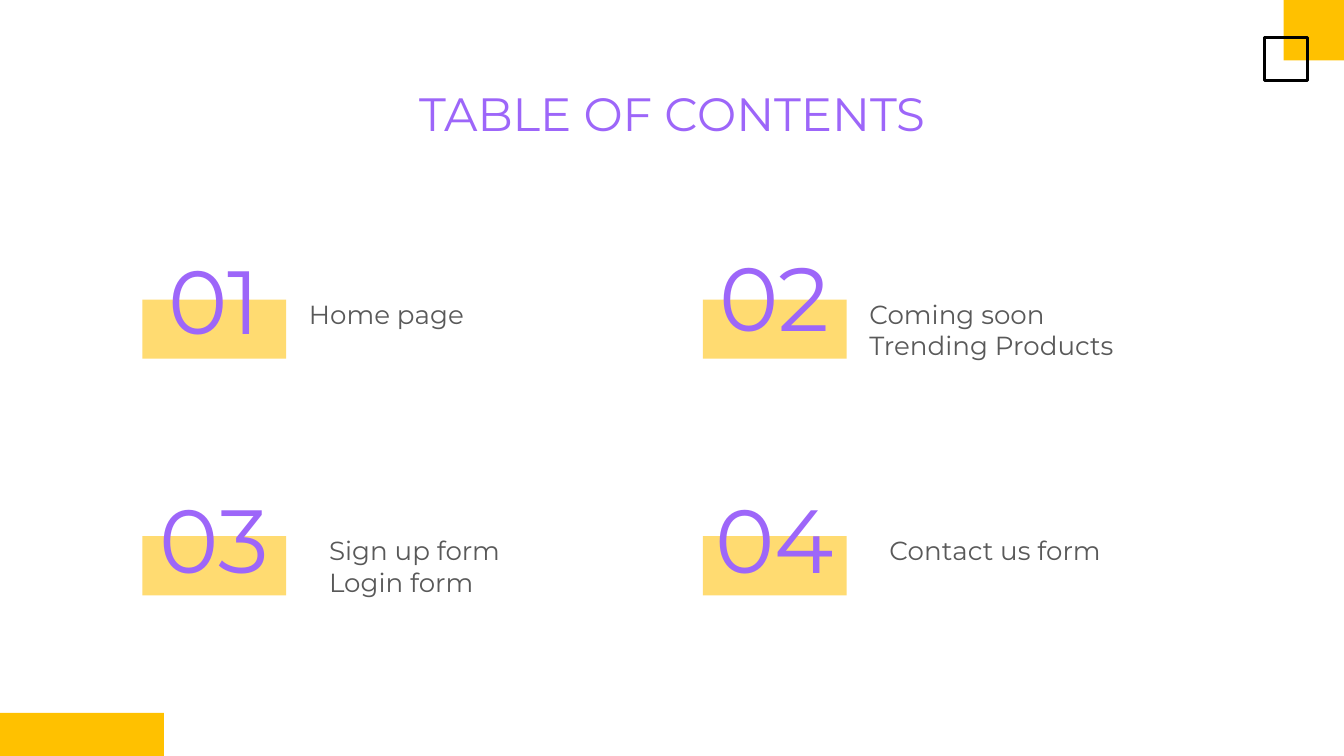
import pptx
import pptx.util
from pptx.dml.color import RGBColor
from pptx.enum.shapes import MSO_SHAPE
from pptx.enum.text import MSO_ANCHOR, PP_ALIGN

WIDTH = 10
HEIGHT = WIDTH * 9 / 16
FONT = "Montserrat"
COLORS = {"amber": "FFC100", "pale": "FFDB71", "purple": "9D66F9",
          "gray": "595959", "black": "000000"}

TITLE = "TABLE OF CONTENTS"
# number, rise of the number above its bar, hanging indent, lines
SECTIONS = [
    ("01", 0.23, False, ["Home page"]),
    ("02", 0.25, False, ["Coming soon", "Trending Products"]),
    ("03", 0.21, True, ["Sign up form", "Login form"]),
    ("04", 0.21, True, ["Contact us form"]),
]

# The grid gives the top left corner of each bar
COLUMNS = 2
LEFT, TOP = 1.06, 2.23
COLUMN_STEP, ROW_STEP = 4.17, 1.76
BAR_WIDTH, BAR_HEIGHT = 1.07, 0.44

presentation = pptx.Presentation()
presentation.slide_width = pptx.util.Inches(WIDTH)
presentation.slide_height = pptx.util.Inches(HEIGHT)
slide = presentation.slides.add_slide(presentation.slide_layouts[6])


def inches(*lengths):
    return [pptx.util.Inches(length) for length in lengths]


def add_rectangle(left, top, width, height, fill=None, line=None):
    shape = slide.shapes.add_shape(MSO_SHAPE.RECTANGLE, *inches(left, top, width, height))
    shape.shadow.inherit = False
    if fill:
        shape.fill.solid()
        shape.fill.fore_color.rgb = RGBColor.from_string(COLORS[fill])
    else:
        shape.fill.background()
    if line:
        shape.line.color.rgb = RGBColor.from_string(COLORS[line])
        shape.line.width = pptx.util.Pt(1.5)
    else:
        shape.line.fill.background()


def add_text(left, top, width, height, lines, size, color,
             align=PP_ALIGN.LEFT, anchor=MSO_ANCHOR.TOP, hanging=False):
    frame = slide.shapes.add_textbox(*inches(left, top, width, height)).text_frame
    frame.word_wrap = True
    frame.vertical_anchor = anchor
    frame.margin_left = frame.margin_right = pptx.util.Inches(0.1)
    frame.margin_top = frame.margin_bottom = pptx.util.Inches(0.1)
    for index, line in enumerate(lines):
        paragraph = frame.add_paragraph() if index else frame.paragraphs[0]
        paragraph.alignment = align
        if hanging:
            properties = paragraph._p.get_or_add_pPr()
            properties.set("marL", str(pptx.util.Inches(0.5)))
            properties.set("indent", str(pptx.util.Inches(-0.35)))
        run = paragraph.add_run()
        run.text = line
        run.font.name = FONT
        run.font.size = pptx.util.Pt(size)
        run.font.color.rgb = RGBColor.from_string(COLORS[color])


# Corner decoration
add_rectangle(WIDTH - 0.45, 0, 0.45, 0.45, fill="amber")
add_rectangle(9.41, 0.28, 0.32, 0.32, line="black")
add_rectangle(0, HEIGHT - 0.32, 1.22, 0.32, fill="amber")

add_text(0.78, 0.53, WIDTH - 2 * 0.78, 0.63, [TITLE], 25, "purple", PP_ALIGN.CENTER)

for index, (number, rise, hanging, lines) in enumerate(SECTIONS):
    row, column = divmod(index, COLUMNS)
    left = LEFT + column * COLUMN_STEP
    top = TOP + row * ROW_STEP
    add_rectangle(left, top, BAR_WIDTH, BAR_HEIGHT, fill="pale")
    add_text(left + 1.14, top - 0.11, 2.6, 0.63, lines, 14, "gray", hanging=hanging)
    add_text(left - 0.03, top - rise, 1.13, 0.44, [number], 48, "purple",
             PP_ALIGN.CENTER, MSO_ANCHOR.MIDDLE)

presentation.save("out.pptx")
